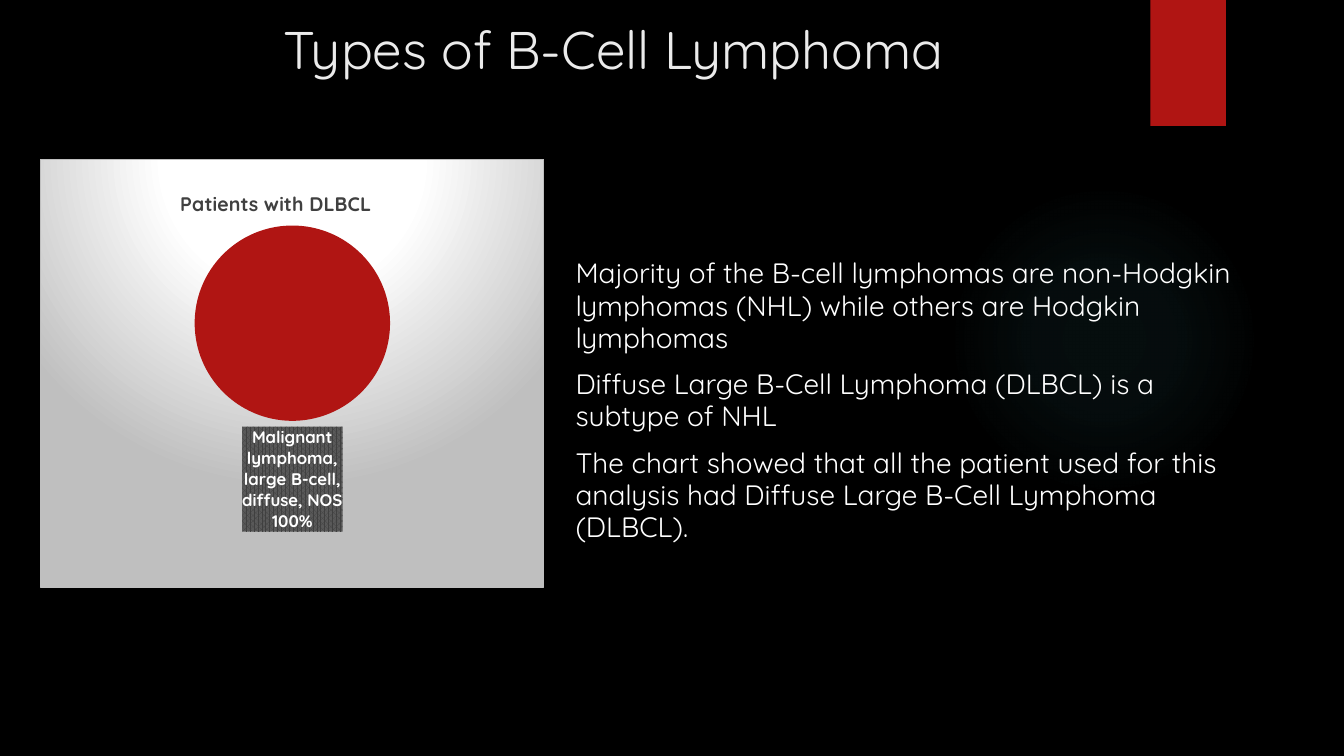
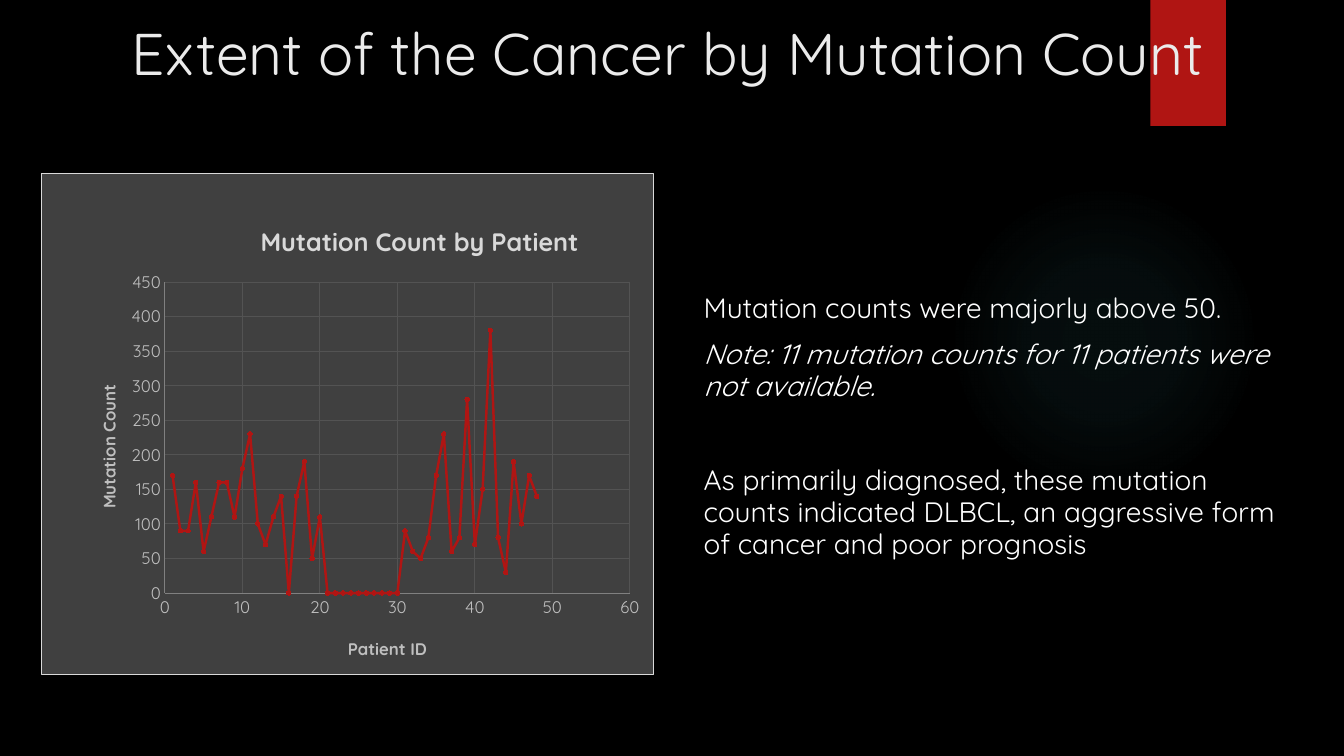
from pptx import Presentation
from pptx.chart.data import CategoryChartData, XyChartData
from pptx.dml.color import RGBColor
from pptx.enum.chart import (XL_CHART_TYPE, XL_LABEL_POSITION, XL_MARKER_STYLE,
                             XL_TICK_MARK)
from pptx.enum.shapes import MSO_SHAPE
from pptx.enum.text import PP_ALIGN
from pptx.oxml import parse_xml
from pptx.oxml.ns import nsdecls, qn
from pptx.util import Inches, Pt

PIE = XL_CHART_TYPE.PIE
SCATTER = XL_CHART_TYPE.XY_SCATTER_LINES
OUTSIDE = XL_LABEL_POSITION.OUTSIDE_END
CIRCLE = XL_MARKER_STYLE.CIRCLE
NO_TICK = XL_TICK_MARK.NONE
OVAL, RECT = MSO_SHAPE.OVAL, MSO_SHAPE.RECTANGLE
CENTER = PP_ALIGN.CENTER

FONT = "Quicksand"
BLACK, WHITE = "000000", "FFFFFF"
RED, MARKER_RED, GLOW = "B01513", "ED5654", "50B9C1"
TITLE_COLOR = "EBEBEB"
DARK, GRID, AXIS = "404040", "535353", "808080"
SILVER, LIGHT = "BFBFBF", "D9D9D9"

MUTATION_COUNTS = (
    [170, 90, 90, 160, 60, 110, 160, 160, 110, 180, 230, 100, 70, 110, 140, 0,
     140, 190, 50, 110] + [0] * 10 +
    [90, 60, 50, 80, 170, 230, 60, 80, 280, 70, 150, 380, 80, 30, 190, 100,
     170, 140])


def rgb(color):
    return RGBColor.from_string(color)


def style_font(font, size, color, bold=False, italic=False):
    font.name, font.size = FONT, Pt(size)
    font.bold, font.italic = bold, italic
    font.color.rgb = rgb(color)


def style_line(line, color, width):
    line.color.rgb = rgb(color)
    line.width = Pt(width)


def radial_fill(stops, left, top, right, bottom):
    """Circular gradient; stops are (position, colour, opacity) in percent."""
    gs = "".join(
        f'<a:gs pos="{pos * 1000}"><a:srgbClr val="{color}">'
        f'<a:alpha val="{alpha * 1000}"/></a:srgbClr></a:gs>'
        for pos, color, alpha in stops)
    return (f'<a:gradFill {nsdecls("a")} rotWithShape="1"><a:gsLst>{gs}</a:gsLst>'
            f'<a:path path="circle"><a:fillToRect l="{left * 1000}" t="{top * 1000}" '
            f'r="{right * 1000}" b="{bottom * 1000}"/></a:path></a:gradFill>')


def solid_fill(color):
    return f'<a:solidFill><a:srgbClr val="{color}"/></a:solidFill>'


def chart_sppr(fill, border=None):
    line = f'<a:ln w="9525">{solid_fill(border)}</a:ln>' if border else ""
    return parse_xml(f'<c:spPr {nsdecls("c", "a")}>{fill}{line}</c:spPr>')


def manual_layout(x, y, w=None, h=None):
    """Chart layout in fractions of the chart area; with a size, the inner plot."""
    values = [("x", x), ("y", y)]
    target = ""
    if w:
        values += [("w", w), ("h", h)]
        target = '<c:layoutTarget val="inner"/>'
    modes = '<c:xMode val="edge"/><c:yMode val="edge"/>'
    sizes = "".join(f'<c:{tag} val="{value}"/>' for tag, value in values)
    return parse_xml(f'<c:layout {nsdecls("c")}><c:manualLayout>'
                     f'{target}{modes}{sizes}</c:manualLayout></c:layout>')


def set_layout(element, layout):
    old = element.find(qn("c:layout"))
    if old is not None:
        element.remove(old)
    tx = element.find(qn("c:tx"))
    if tx is not None:
        tx.addnext(layout)
    else:
        element.insert(0, layout)


def add_box(s, kind, x, y, w, h):
    sp = s.shapes.add_shape(kind, Inches(x), Inches(y), Inches(w), Inches(h))
    sp.shadow.inherit = False
    sp.line.fill.background()
    return sp


def add_text(s, x, y, w, h):
    tf = s.shapes.add_textbox(Inches(x), Inches(y), Inches(w), Inches(h)).text_frame
    tf.word_wrap = True
    return tf


def add_base_slide(prs, title, size, x, w):
    """Black slide with the glow, the red band and a centred title."""
    s = prs.slides.add_slide(prs.slide_layouts[6])
    s.background.fill.solid()
    s.background.fill.fore_color.rgb = rgb(BLACK)

    glow = add_box(s, OVAL, 9.41, 1.83, 3.08, 3.08)
    glow.fill.background()
    no_fill = glow._element.spPr.find(qn("a:noFill"))
    stops = [(0, GLOW, 7), (36, GLOW, 6), (69, GLOW, 0)]
    no_fill.getparent().replace(no_fill, parse_xml(radial_fill(stops, 50, 50, 50, 50)))

    band = add_box(s, RECT, 11.41, 0, 0.75, 1.25)
    band.fill.solid()
    band.fill.fore_color.rgb = rgb(RED)

    p = add_text(s, x, 0.12, w, 0.76).paragraphs[0]
    p.text, p.alignment = title, CENTER
    style_font(p.runs[0].font, size, TITLE_COLOR)
    return s


def add_body(s, x, y, w, h, paragraphs):
    """Paragraphs are (text, space before, italic)."""
    tf = add_text(s, x, y, w, h)
    tf.margin_top = 0
    for i, (text, space, italic) in enumerate(paragraphs):
        p = tf.add_paragraph() if i else tf.paragraphs[0]
        p.text, p.space_before, p.line_spacing = text, Pt(space), 0.96
        style_font(p.runs[0].font, 20, WHITE, italic=italic)


def set_chart_title(owner, text, size, color, x, y):
    """Title of a chart or an axis, placed by its top left corner."""
    owner.has_title = True
    title = owner.chart_title if hasattr(owner, "chart_title") else owner.axis_title
    p = title.text_frame.paragraphs[0]
    p.text = text
    style_font(p.runs[0].font, size, color, bold=True)
    set_layout(title._element, manual_layout(x, y))
    return title


def add_chart(s, kind, data, x, y, w, h, fill, border, plot_area):
    chart = s.shapes.add_chart(kind, Inches(x), Inches(y), Inches(w), Inches(h),
                               data).chart
    chart.has_legend = False
    style_font(chart.font, 12, WHITE)
    space = chart._chartSpace
    space.find(qn("c:chart")).addnext(chart_sppr(fill, border))
    set_layout(space.find(".//" + qn("c:plotArea")), manual_layout(*plot_area))
    chart.plots[0].vary_by_categories = False
    return chart


def style_axis(axis, maximum, step):
    axis.minimum_scale, axis.maximum_scale, axis.major_unit = 0, maximum, step
    axis.major_tick_mark = axis.minor_tick_mark = NO_TICK
    axis.has_major_gridlines = True
    style_line(axis.major_gridlines.format.line, GRID, 0.75)
    style_line(axis.format.line, AXIS, 0.75)
    style_font(axis.tick_labels.font, 12, SILVER)


def add_pie(s):
    data = CategoryChartData()
    data.categories = ["Malignant lymphoma, large B-cell, diffuse, NOS"]
    data.add_series("Series 1", [100])
    backdrop = radial_fill([(0, WHITE, 100), (39, WHITE, 100), (100, SILVER, 100)],
                           50, -80, 50, 180)
    chart = add_chart(s, PIE, data, 0.4, 1.58, 5, 4.25, backdrop, SILVER,
                      (0.305, 0.154, 0.39, 0.457))
    set_chart_title(chart, "Patients with DLBCL", 14, DARK, 0.27, 0.06)

    series = chart.plots[0].series[0]
    fill = series.points[0].format.fill
    fill.solid()
    fill.fore_color.rgb = rgb(RED)

    labels = series.data_labels
    labels.show_value, labels.show_percentage = False, True
    labels.show_category_name = True
    labels.number_format, labels.number_format_is_linked = "0%", False
    labels.position = OUTSIDE
    style_font(labels.font, 12, WHITE, bold=True)
    pattern = ('<a:pattFill prst="pct75"><a:fgClr><a:srgbClr val="404040"/></a:fgClr>'
               '<a:bgClr><a:srgbClr val="595959"/></a:bgClr></a:pattFill>')
    dlbls = labels._element
    dlbls.find(qn("c:numFmt")).addnext(chart_sppr(pattern))
    flags = [e for e in dlbls if e.tag.split("}")[1].startswith("show")
             and e.tag != qn("c:showLeaderLines")]
    flags[-1].addnext(parse_xml(f'<c:separator {nsdecls("c")}>\n</c:separator>'))


def add_mutation_chart(s):
    data = XyChartData()
    points = data.add_series("Series 1")
    for patient, count in enumerate(MUTATION_COUNTS, 1):
        points.add_data_point(patient, count)
    chart = add_chart(s, SCATTER, data, 0.41, 1.72, 6.08, 4.98, solid_fill(DARK),
                      LIGHT, (0.201, 0.216, 0.76, 0.621))
    set_chart_title(chart, "Mutation Count by Patient", 18, LIGHT, 0.35, 0.09)

    style_axis(chart.category_axis, 60, 10)
    style_axis(chart.value_axis, 450, 50)
    set_chart_title(chart.category_axis, "Patient ID", 12, SILVER, 0.495, 0.917)
    title = set_chart_title(chart.value_axis, "Mutation Count", 12, SILVER, 0.085, 0.415)
    body = title._element.find(".//" + qn("a:bodyPr"))
    body.set("rot", "-5400000")
    body.set("vert", "horz")

    series = chart.plots[0].series[0]
    series.smooth = False
    style_line(series.format.line, RED, 1.75)
    marker = series.marker
    marker.style, marker.size = CIRCLE, 3
    marker.format.fill.solid()
    marker.format.fill.fore_color.rgb = rgb(MARKER_RED)
    style_line(marker.format.line, RED, 0.75)


def main():
    prs = Presentation()
    prs.slide_width, prs.slide_height = Inches(13.33), Inches(7.5)

    s = add_base_slide(prs, "Types of B-Cell Lymphoma", 37.8, 1.32, 9.53)
    add_body(s, 5.61, 2.56, 7.03, 3.1, [
        ("Majority of the B-cell lymphomas are non-Hodgkin lymphomas (NHL) "
         "while others are Hodgkin lymphomas", 0, False),
        ("Diffuse Large B-Cell Lymphoma (DLBCL) is a subtype of NHL", 10, False),
        ("The chart showed that all the patient used for this analysis had "
         "Diffuse Large B-Cell Lymphoma (DLBCL).", 10, False)])
    add_pie(s)

    s = add_base_slide(prs, "Extent of the Cancer by Mutation Count", 42, 0.87, 11.5)
    add_body(s, 6.88, 2.9, 6.11, 3, [
        ("Mutation counts were majorly above 50.", 0, False),
        ("Note: 11 mutation counts for 11 patients were not available.", 10, True),
        ("As primarily diagnosed, these mutation counts indicated DLBCL, an "
         "aggressive form of cancer and poor prognosis", 44, False)])
    add_mutation_chart(s)

    prs.save("out.pptx")


if __name__ == "__main__":
    main()
